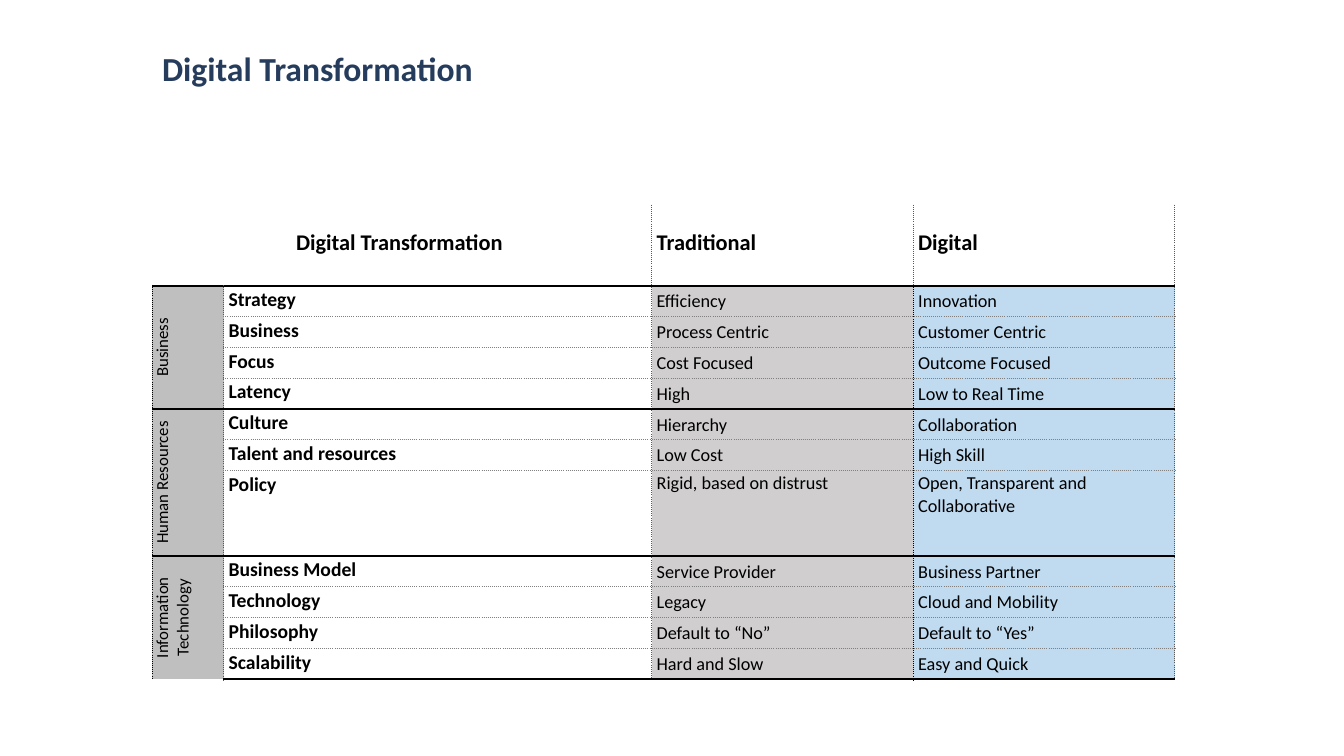
"""Build the Digital Transformation comparison slide."""
from lxml.etree import SubElement
from pptx import Presentation
from pptx.dml.color import RGBColor as Rgb
from pptx.enum.text import MSO_ANCHOR as Anchor, PP_ALIGN as Align
from pptx.oxml.ns import qn
from pptx.util import Pt

TITLE = "Digital Transformation"
HEADINGS = ("Digital Transformation ", "Traditional", "Digital")
SECTIONS = [
    ("Business", [
        ("Strategy", "Efficiency", "Innovation"),
        ("Business", "Process Centric", "Customer Centric"),
        ("Focus", "Cost Focused", "Outcome Focused"),
        ("Latency", "High", "Low to Real Time"),
    ]),
    ("Human Resources", [
        ("Culture", "Hierarchy", "Collaboration"),
        ("Talent and resources", "Low Cost", "High Skill"),
        ("Policy", "Rigid, based on distrust", "Open, Transparent and Collaborative"),
    ]),
    ("Information\nTechnology", [
        ("Business Model", "Service Provider", "Business Partner"),
        ("Technology", "Legacy", "Cloud and Mobility"),
        ("Philosophy", "Default to “No”", "Default to “Yes”"),
        ("Scalability", "Hard and Slow", "Easy and Quick"),
    ]),
]
COLORS = {
    "title": "263C5C", "text": "000000", "section": "BFBFBF", "traditional": "D0CECE",
    "digital": "C0DAEF", "rule": "000000", "column": "595959", "row": "808080",
}
FONT = "Calibri"
NO_STYLE = "{2D5ABB26-0587-4C30-8999-92F81FD0307C}"
LEFT, TOP = 108.7, 146.2
COLUMN_WIDTHS = (51, 305.8, 186.8, 186.8)
HEADER_HEIGHT, ROW_HEIGHT, TALL_HEIGHT = 58, 22, 61
TALL_ROW = "Policy"
SECTION_RULE = ("rule", 1.5, "solid")
ROW_RULE = ("row", 1, "sysDot")
COLUMN_RULE = ("column", 0.5, "sysDot")
FINE_RULE = ("rule", 0.25, "sysDot")


def write(frame, text, size, color="text", bold=False, align=Align.LEFT, spacing=None):
    """Fill a text frame with one paragraph per line of text."""
    frame.text = text
    for para in frame.paragraphs:
        para.alignment = align
        para.line_spacing = spacing
        for span in para.runs:
            span.font.name = FONT
            span.font.size = Pt(size)
            span.font.bold = bold
            span.font.color.rgb = Rgb.from_string(COLORS[color])


def set_borders(cell, **rules):
    """Draw the given left, right, top and bottom rules of a cell."""
    props = cell._tc.get_or_add_tcPr()
    for side in ("left", "right", "top", "bottom"):
        if rules.get(side):
            color, width, dash = rules[side]
            line = SubElement(props, qn("a:ln" + side[0].upper()), w=str(int(Pt(width))))
            fill = SubElement(line, qn("a:solidFill"))
            SubElement(fill, qn("a:srgbClr"), val=COLORS[color])
            SubElement(line, qn("a:prstDash"), val=dash)


def set_cell(cell, text, size, fill=None, insets=(0, 3.6), anchor=Anchor.TOP, **style):
    """Write a cell's text and set its fill, insets and anchor."""
    cell.margin_left = cell.margin_right = Pt(3.6)
    cell.margin_top, cell.margin_bottom = map(Pt, insets)
    cell.vertical_anchor = anchor
    write(cell.text_frame, text, size, **style)
    if fill:
        cell.fill.solid()
        cell.fill.fore_color.rgb = Rgb.from_string(COLORS[fill])
    else:
        cell.fill.background()


def add_comparison(page):
    """Add the table that compares traditional and digital practice."""
    records = [record for _, rows in SECTIONS for record in rows]
    heights = [HEADER_HEIGHT] + [
        TALL_HEIGHT if record[0] == TALL_ROW else ROW_HEIGHT for record in records]
    shape = page.shapes.add_table(len(heights), len(COLUMN_WIDTHS), Pt(LEFT), Pt(TOP),
                                  Pt(sum(COLUMN_WIDTHS)), Pt(sum(heights)))
    table = shape.table
    table.first_row = table.horz_banding = False
    shape._element.find(".//" + qn("a:tableStyleId")).text = NO_STYLE
    for column, width in zip(table.columns, COLUMN_WIDTHS):
        column.width = Pt(width)
    for row, height in zip(table.rows, heights):
        row.height = Pt(height)

    starts = [1]
    for _, rows in SECTIONS:
        starts.append(starts[-1] + len(rows))
    header_edges = (None, None, COLUMN_RULE, COLUMN_RULE, COLUMN_RULE)
    body_edges = (FINE_RULE, COLUMN_RULE, COLUMN_RULE, FINE_RULE, COLUMN_RULE)
    for r in range(len(heights)):
        edges = body_edges if r else header_edges
        for c in range(len(COLUMN_WIDTHS)):
            inner = ROW_RULE if c else None
            top = SECTION_RULE if r in starts else inner if r else None
            bottom = SECTION_RULE if r + 1 in starts else inner
            set_borders(table.cell(r, c), left=edges[c], right=edges[c + 1],
                        top=top, bottom=bottom)

    table.cell(0, 0).merge(table.cell(0, 1))
    for c, heading in zip((0, 2, 3), HEADINGS):
        set_cell(table.cell(0, c), heading, 16, bold=True, anchor=Anchor.MIDDLE,
                 align=Align.LEFT if c else Align.CENTER)
    for (name, _), first, after in zip(SECTIONS, starts, starts[1:]):
        cell = table.cell(first, 0)
        cell.merge(table.cell(after - 1, 0))
        set_cell(cell, name, 12, fill="section", align=Align.CENTER)
        cell._tc.get_or_add_tcPr().set("vert", "vert270")
    for r, (topic, traditional, digital) in enumerate(records, 1):
        anchor = Anchor.TOP if topic == TALL_ROW else Anchor.MIDDLE
        insets = (1.44, 0.72)
        set_cell(table.cell(r, 1), topic, 14, insets=insets, bold=True)
        set_cell(table.cell(r, 2), traditional, 13, "traditional", insets, anchor)
        set_cell(table.cell(r, 3), digital, 13, "digital", insets, anchor)


def main():
    """Build and save the deck."""
    deck = Presentation()
    deck.slide_width, deck.slide_height = Pt(960), Pt(540)
    page = deck.slides.add_slide(deck.slide_layouts[6])
    box = page.shapes.add_textbox(Pt(LEFT), Pt(34), Pt(693.4), Pt(45.4))
    box.text_frame.word_wrap = True
    write(box.text_frame, TITLE, 24, color="title", bold=True, spacing=0.9)
    add_comparison(page)
    deck.save("out.pptx")


if __name__ == "__main__":
    main()
